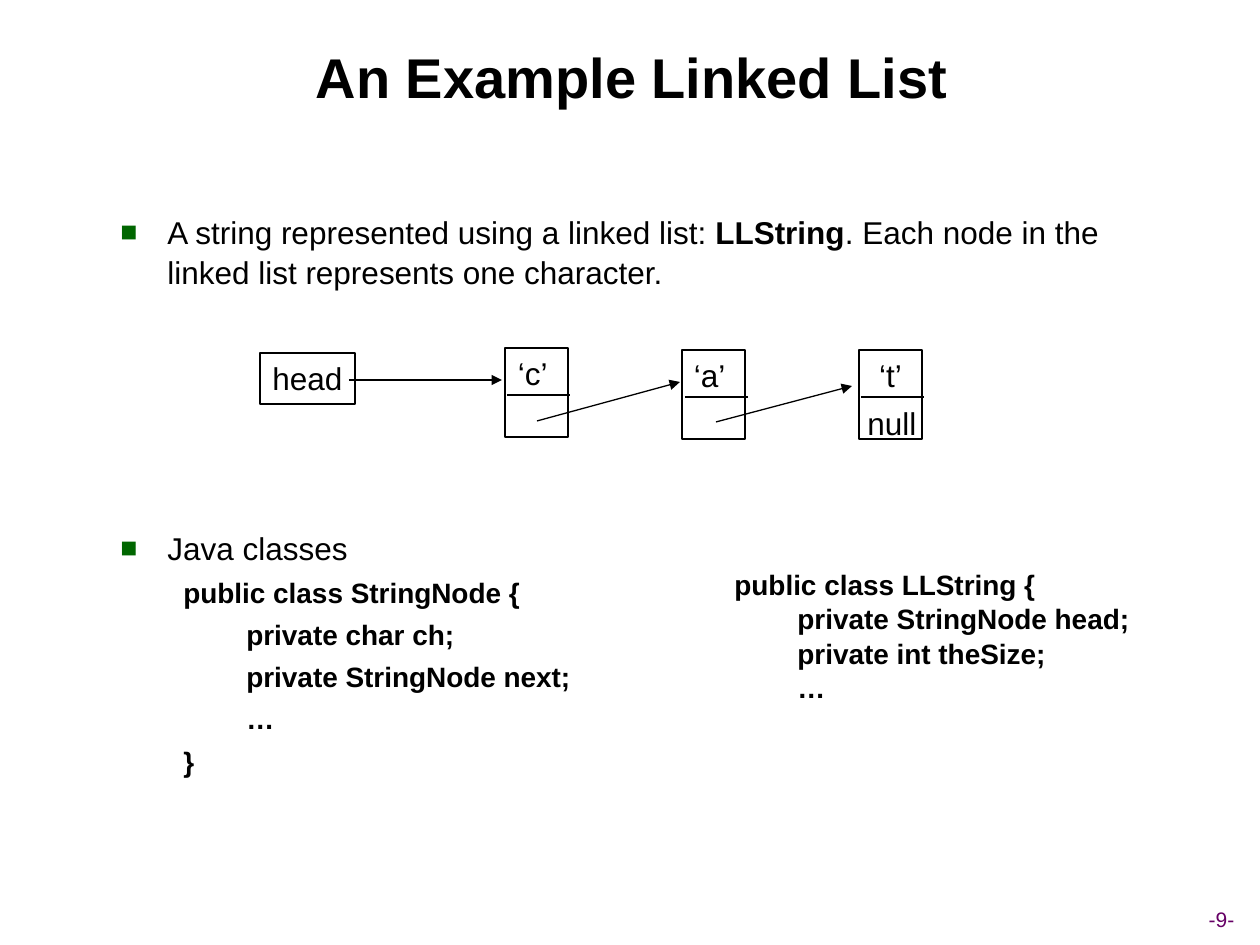
from lxml import etree
from pptx import Presentation
from pptx.dml.color import RGBColor
from pptx.enum.shapes import MSO_CONNECTOR, MSO_SHAPE
from pptx.enum.text import MSO_ANCHOR, PP_ALIGN
from pptx.oxml.ns import qn
from pptx.util import Pt

PX = 914400 / 126
STRAIGHT = MSO_CONNECTOR.STRAIGHT
RECTANGLE = MSO_SHAPE.RECTANGLE
TOP, MIDDLE = MSO_ANCHOR.TOP, MSO_ANCHOR.MIDDLE
LEFT, CENTER = PP_ALIGN.LEFT, PP_ALIGN.CENTER
COLORS = {"ink": "000000", "bullet": "006600", "number": "660066"}


def write(shape, paragraphs, size=18, color="ink", bold=False, wrap=False,
          anchor=TOP, alignment=CENTER, line_spacing=1.0):
    frame = shape.text_frame
    frame_format = {"word_wrap": wrap, "vertical_anchor": anchor}
    for name, value in frame_format.items():
        setattr(frame, name, value)
    for index, (runs, options) in enumerate(paragraphs):
        paragraph = frame.add_paragraph() if index else frame.paragraphs[0]
        paragraph_format = {
            "alignment": alignment,
            "line_spacing": line_spacing,
            "space_before": Pt(options.get("before", 0)),
        }
        for name, value in paragraph_format.items():
            setattr(paragraph, name, value)
        properties = paragraph._p.get_or_add_pPr()
        properties.set("marL", str(round(options.get("margin", 0) * PX)))
        properties.set("indent", str(round(options.get("indent", 0) * PX)))
        if "indent" in options:
            bullet_color = etree.SubElement(properties, qn("a:buClr"))
            etree.SubElement(bullet_color, qn("a:srgbClr"), val=COLORS["bullet"])
            etree.SubElement(properties, qn("a:buSzPct"), val="90000")
            etree.SubElement(properties, qn("a:buFont"), typeface="Arial")
            etree.SubElement(properties, qn("a:buChar"), char="■")
        for position, text in enumerate(runs):
            run = paragraph.add_run()
            run.text = text
            run_format = {
                "name": "Arial",
                "size": Pt(options.get("size", size)),
                "bold": options.get("bold", bold) or position == 1,
            }
            for name, value in run_format.items():
                setattr(run.font, name, value)
            run.font.color.rgb = RGBColor.from_string(COLORS[color])


def place(*lengths):
    return [round(length * PX) for length in lengths]


presentation = Presentation()
presentation.slide_width, presentation.slide_height = place(1260, 945)
slide = presentation.slides.add_slide(presentation.slide_layouts[6])
shapes = slide.shapes

page_number = shapes.add_textbox(*place(1154, 900, 135, 38))
write(page_number, [(["-9-"], {})], size=12, color="number", anchor=MIDDLE)

title = shapes.add_textbox(*place(48, 16, 1168, 120))
write(title, [(["An Example Linked List"], {})], size=32, bold=True,
      wrap=True, anchor=MIDDLE)

item = {"margin": 47, "indent": -47}
outer_code = {"margin": 63, "before": 4, "size": 16, "bold": True}
inner_code = {**outer_code, "margin": 126}
body = shapes.add_textbox(*place(108, 205, 1056, 662))
write(body, [
    (["A string represented using a linked list: ", "LLString",
      ". Each node in the linked list represents one character."], item),
    (["Java classes"], {**item, "before": 135}),
    (["public class StringNode {"], outer_code),
    (["private char ch;"], inner_code),
    (["private StringNode next;"], inner_code),
    (["…"], inner_code),
    (["}"], outer_code),
], wrap=True, alignment=LEFT, line_spacing=1.05)

boxes = [
    ("head", 260, 353, 95, 51),
    ("‘c’ ", 505, 348, 63, 89),
    ("‘a’ ", 682, 350, 63, 89),
    ("‘t’", 859, 350, 63, 89),
]
for text, *bounds in boxes:
    box = shapes.add_shape(RECTANGLE, *place(*bounds))
    box.shadow.inherit = False
    box.fill.background()
    box.line.color.rgb = RGBColor.from_string(COLORS["ink"])
    box.line.width = Pt(0.75)
    write(box, [([text], {})])

lines = [
    (349, 380, 502, 380, True),
    (507, 395, 570, 395, False),
    (685, 397, 748, 397, False),
    (861, 397, 924, 397, False),
    (537, 421, 680, 382, True),
    (716, 422, 852, 386, True),
]
for *ends, has_arrow in lines:
    line = shapes.add_connector(STRAIGHT, *place(*ends))
    line.line.color.rgb = RGBColor.from_string(COLORS["ink"])
    line.line.width = Pt(0.75)
    if has_arrow:
        etree.SubElement(line.line._get_or_add_ln(), qn("a:tailEnd"), type="triangle")
    etree.SubElement(line._element.spPr, qn("a:effectLst"))

null_label = shapes.add_textbox(*place(855, 398, 74, 51))
write(null_label, [(["null"], {})])

list_class = shapes.add_textbox(*place(659, 567, 575, 325))
write(list_class, [
    (["public class LLString {"], {**outer_code, "before": 0}),
    (["private StringNode head;"], inner_code),
    (["private int theSize;"], inner_code),
    (["…"], inner_code),
], wrap=True, alignment=LEFT, line_spacing=0.82)

presentation.save("out.pptx")
